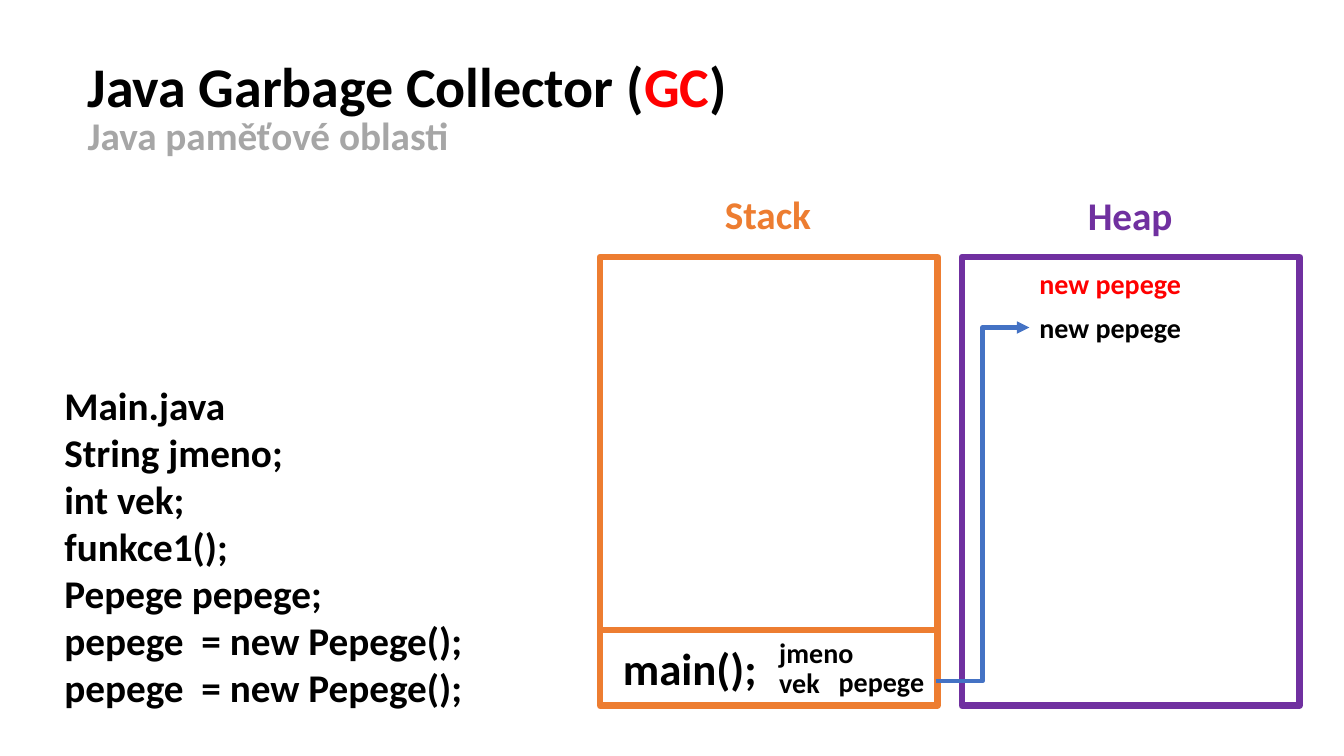
from pptx import Presentation
from pptx.dml.color import RGBColor
from pptx.enum.shapes import MSO_CONNECTOR, MSO_SHAPE
from pptx.enum.text import MSO_AUTO_SIZE
from pptx.oxml.ns import qn
from pptx.util import Inches, Pt
from lxml import etree

STRAIGHT, ELBOW = MSO_CONNECTOR.STRAIGHT, MSO_CONNECTOR.ELBOW
RECTANGLE = MSO_SHAPE.RECTANGLE
GROW = MSO_AUTO_SIZE.SHAPE_TO_FIT_TEXT

BLACK = RGBColor(0x00, 0x00, 0x00)
RED = RGBColor(0xFF, 0x00, 0x00)
GRAY = RGBColor(0xA6, 0xA6, 0xA6)
ORANGE = RGBColor(0xED, 0x7D, 0x31)
PURPLE = RGBColor(0x70, 0x30, 0xA0)
BLUE = RGBColor(0x44, 0x72, 0xC4)

AREA_TOP, AREA_WIDTH, AREA_HEIGHT = 2.55, 3.35, 4.45
STACK_LEFT, HEAP_LEFT = 5.95, 9.54
FRAME_TOP = 6.25

prs = Presentation()
prs.slide_width = Inches(13.33)
prs.slide_height = Inches(7.5)
slide = prs.slides.add_slide(prs.slide_layouts[6])


def add_label(left, top, width, height, size, color, lines, wrap=False):
    label = slide.shapes.add_textbox(Inches(left), Inches(top), Inches(width), Inches(height))
    frame = label.text_frame
    frame.word_wrap = wrap
    frame.auto_size = GROW
    frame.text = "\n".join(lines)
    for paragraph in frame.paragraphs:
        for run in paragraph.runs:
            run.font.name = "Calibri"
            run.font.size = Pt(size)
            run.font.bold = True
            run.font.color.rgb = color
    return label


def add_link(kind, start, end, color, width):
    link = slide.shapes.add_connector(kind, *[Inches(v) for v in start + end])
    link.line.color.rgb = color
    link.line.width = Pt(width)
    etree.SubElement(link.line._get_or_add_ln().getparent(), qn("a:effectLst"))
    return link


title = add_label(0.77, 0.46, 7.45, 0.77, 40, BLACK, ["Java Garbage Collector ("], wrap=True)
title_paragraph = title.text_frame.paragraphs[0]
for piece, color in [("GC", RED), (")", BLACK)]:
    run = title_paragraph.add_run()
    run.text = piece
    run.font.name = "Calibri"
    run.font.size = Pt(40)
    run.font.bold = True
    run.font.color.rgb = color

add_label(0.77, 1.06, 3.82, 0.57, 28, GRAY, ["Java paměťové oblasti"])

for area_left, color in [(STACK_LEFT, ORANGE), (HEAP_LEFT, PURPLE)]:
    area = slide.shapes.add_shape(
        RECTANGLE, Inches(area_left), Inches(AREA_TOP), Inches(AREA_WIDTH), Inches(AREA_HEIGHT))
    area.shadow.inherit = False
    area.fill.background()
    area.line.color.rgb = color
    area.line.width = Pt(4.5)

add_label(7.09, 1.84, 1.07, 0.57, 28, ORANGE, ["Stack"])
add_label(10.69, 1.85, 1.05, 0.57, 28, PURPLE, ["Heap"])
add_link(STRAIGHT, (STACK_LEFT, FRAME_TOP), (STACK_LEFT + AREA_WIDTH, FRAME_TOP), ORANGE, 4.5)

add_label(0.54, 3.73, 4.19, 3.4, 28, BLACK, [
    "Main.java",
    "String jmeno;",
    "int vek;",
    "funkce1();",
    "Pepege pepege;",
    "pepege  = new Pepege();",
    "pepege  = new Pepege();",
])

add_label(6.08, 6.31, 1.54, 0.64, 32, BLACK, ["main();"])
add_label(7.63, 6.26, 0.95, 0.44, 20, BLACK, ["jmeno"])
add_label(7.63, 6.55, 0.61, 0.44, 20, BLACK, ["vek"])
variable = add_label(8.22, 6.54, 1.06, 0.44, 20, BLACK, ["pepege"])

add_label(10.21, 2.59, 1.62, 0.44, 20, RED, ["new pepege"])
live_object = add_label(10.21, 3.03, 1.62, 0.44, 20, BLACK, ["new pepege"])

reference = add_link(ELBOW, (9.28, 6.76), (10.21, 3.25), BLUE, 3)
reference.begin_connect(variable, 3)
reference.end_connect(live_object, 1)
etree.SubElement(reference.line._get_or_add_ln(), qn("a:tailEnd"), type="triangle")

prs.save("out.pptx")
